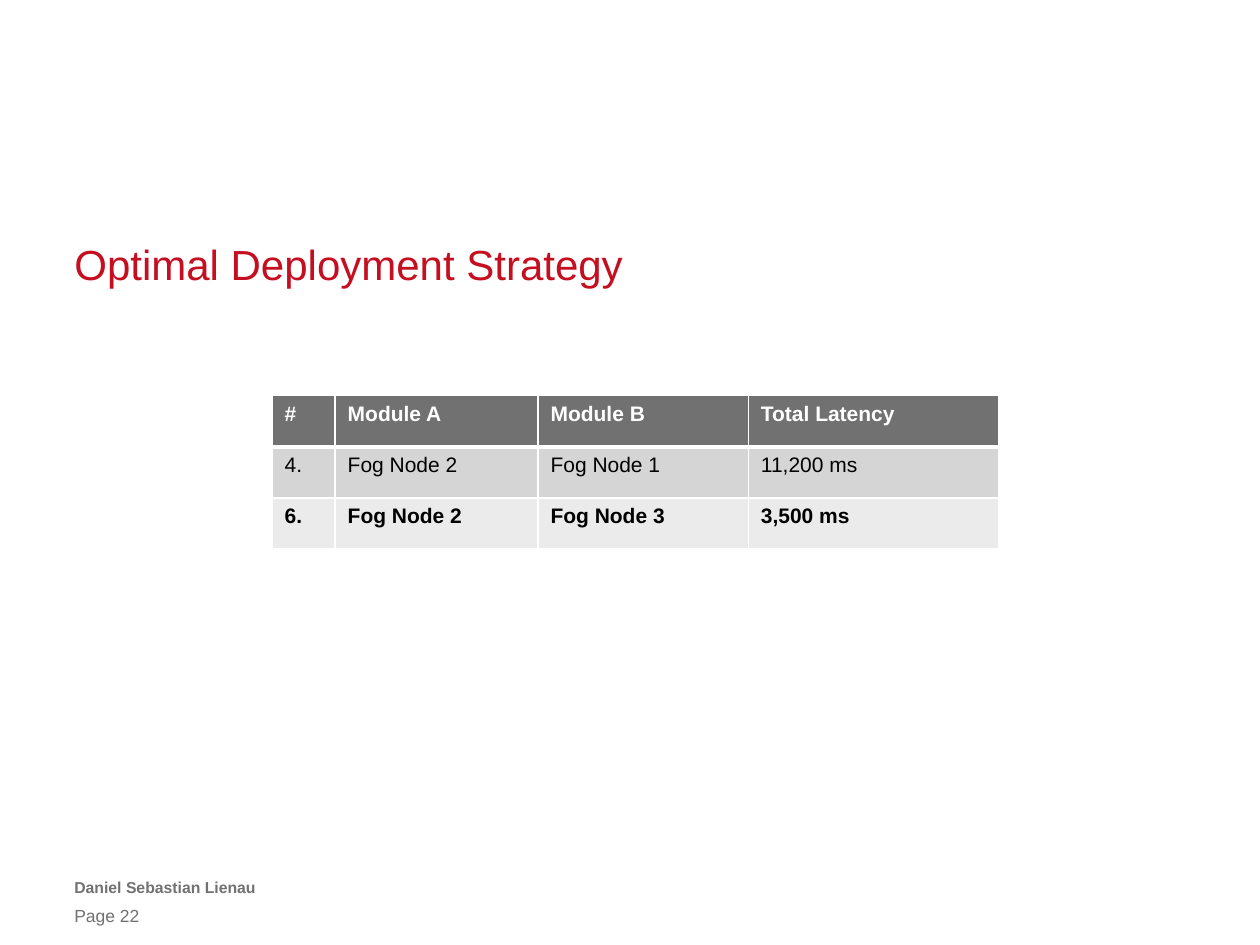
from lxml import etree
from pptx import Presentation
from pptx import util as u
from pptx.dml.color import RGBColor
from pptx.enum import shapes, text
from pptx.oxml.ns import qn

COLORS = {
    "title": "C50E1F",
    "gray": "717171",
    "white": "FFFFFF",
    "black": "000000",
    "band_dark": "D5D5D5",
    "band_light": "EBEBEB",
}


class SlideBuilder:
    font_name = "Arial"
    margin_left = 0.59

    def __init__(self, slide):
        self.slide = slide

    def format_runs(self, paragraph, size, color, bold=False):
        for run in paragraph.runs:
            run.font.name = self.font_name
            run.font.size = u.Pt(size)
            run.font.bold = bold
            run.font.color.rgb = RGBColor.from_string(COLORS[color])

    def fill_frame(self, shape, content, size, color, bold=False):
        frame = shape.text_frame
        frame.text = content
        frame.word_wrap = True
        frame.margin_left = frame.margin_top = 0
        frame.margin_right = frame.margin_bottom = 0
        self.format_runs(frame.paragraphs[0], size, color, bold)
        return frame

    def panel(self, left, top, width, height, color):
        shape = self.slide.shapes.add_shape(
            shapes.MSO_SHAPE.RECTANGLE,
            u.Inches(left), u.Inches(top), u.Inches(width), u.Inches(height))
        shape.shadow.inherit = False
        shape.fill.solid()
        shape.fill.fore_color.rgb = RGBColor.from_string(COLORS[color])
        shape.line.color.rgb = RGBColor.from_string(COLORS[color])
        shape.line.width = u.Pt(0.75)

    def title(self, content, top, width, height):
        shape = self.slide.shapes.title
        shape.left, shape.top = u.Inches(self.margin_left), u.Inches(top)
        shape.width, shape.height = u.Inches(width), u.Inches(height)
        frame = self.fill_frame(shape, content, 24, "title")
        frame.vertical_anchor = text.MSO_ANCHOR.BOTTOM
        paragraph = frame.paragraphs[0]
        paragraph.alignment = text.PP_ALIGN.LEFT
        paragraph.line_spacing = u.Pt(30)

    def footer(self, content, top, width, height, size, bold=False):
        shape = self.slide.shapes.add_textbox(
            u.Inches(self.margin_left), u.Inches(top), u.Inches(width), u.Inches(height))
        self.fill_frame(shape, content, size, "gray", bold)

    def cell_borders(self, cell, top, bottom):
        properties = cell._tc.get_or_add_tcPr()
        widths = {"a:lnL": 1, "a:lnR": 1, "a:lnT": top, "a:lnB": bottom}
        for index, (tag, width) in enumerate(widths.items()):
            line = etree.Element(qn(tag), w=str(u.Pt(width)))
            fill = etree.SubElement(line, qn("a:solidFill"))
            etree.SubElement(fill, qn("a:srgbClr"), val=COLORS["white"])
            properties.insert(index, line)

    def table(self, rows, styles, left, top, column_widths, height):
        table = self.slide.shapes.add_table(
            len(rows), len(column_widths), u.Inches(left), u.Inches(top),
            u.Inches(sum(column_widths)), u.Inches(height)).table
        for column, width in zip(table.columns, column_widths):
            column.width = u.Inches(width)
        for row_index, (row, (fill, color, bold)) in enumerate(zip(rows, styles)):
            table.rows[row_index].height = u.Inches(height / len(rows))
            for column_index, content in enumerate(row):
                cell = table.cell(row_index, column_index)
                cell.text = content
                cell.fill.solid()
                cell.fill.fore_color.rgb = RGBColor.from_string(COLORS[fill])
                self.format_runs(cell.text_frame.paragraphs[0], 12, color, bold)
                self.cell_borders(cell, 3 if row_index == 1 else 1,
                                  3 if row_index == 0 else 1)


def main():
    presentation = Presentation()
    presentation.slide_width = u.Inches(10)
    presentation.slide_height = u.Inches(7.5)
    builder = SlideBuilder(presentation.slides.add_slide(presentation.slide_layouts[5]))

    builder.panel(7.91, 6.87, 1.49, 0.47, "white")
    builder.title("Optimal Deployment Strategy", 1.9, 8.82, 0.39)
    builder.footer("Daniel Sebastian Lienau", 6.97, 7.72, 0.2, 9, bold=True)
    builder.footer("Page 22", 7.18, 7.24, 0.17, 10)
    builder.table(
        rows=[
            ("#", "Module A", "Module B", "Total Latency"),
            ("4.", "Fog Node 2", "Fog Node 1", "11,200 ms"),
            ("6.", "Fog Node 2", "Fog Node 3", "3,500 ms"),
        ],
        styles=[
            ("gray", "white", True),
            ("band_dark", "black", False),
            ("band_light", "black", True),
        ],
        left=2.16, top=3.14, column_widths=(0.5, 1.61, 1.67, 1.99), height=1.22)

    presentation.save("out.pptx")


if __name__ == "__main__":
    main()
